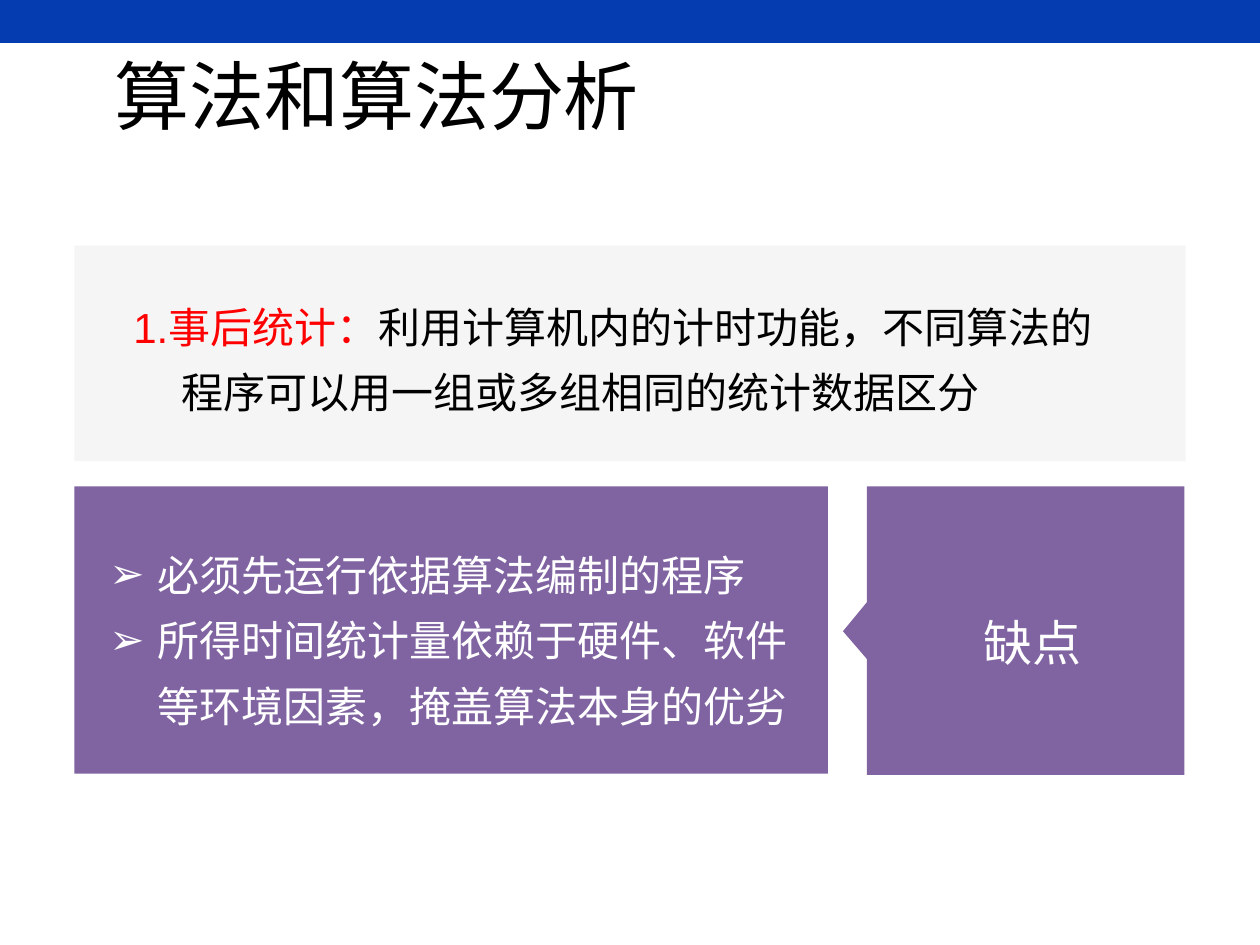
from dataclasses import dataclass

from lxml.etree import SubElement
from pptx import Presentation
from pptx.dml.color import RGBColor
from pptx.enum.shapes import MSO_SHAPE
from pptx.enum.text import MSO_ANCHOR
from pptx.oxml.ns import qn
from pptx.util import Pt

SCALE = 9144
CJK_FONT = "Noto Sans CJK SC"
COLORS = {
    "bar": "053CAF",
    "panel": "F5F5F5",
    "purple": "8064A2",
    "red": "FF0000",
    "black": "000000",
    "white": "FFFFFF",
}


@dataclass(frozen=True)
class Panel:
    """A filled rectangle, in px."""
    left: int
    top: int
    width: int
    height: int
    color: str


@dataclass(frozen=True)
class Label:
    """A text box whose paragraphs are lists of (text, color) spans."""
    left: int
    top: int
    width: int
    height: int
    paragraphs: list[list[tuple[str, str]]]
    size: float
    font: str = "Arial"
    spacing: float = 1.3
    indent: int = 38
    bullet: str = ""
    anchor: MSO_ANCHOR = MSO_ANCHOR.TOP


PANELS = [
    Panel(0, 0, 1000, 34, "bar"),
    Panel(59, 195, 882, 171, "panel"),
    Panel(59, 386, 598, 228, "purple"),
]
CALLOUT = [(688, 386), (940, 386), (940, 615), (688, 615),
           (688, 523), (669, 501), (688, 478)]
LABELS = [
    Label(81, 42, 859, 75, [[("算法和算法分析", "black")]], 42.9,
          font=CJK_FONT, spacing=0.9, indent=0, anchor=MSO_ANCHOR.MIDDLE),
    Label(96, 222, 809, 115, [[
        ("1.事后统计：", "red"),
        ("利用计算机内的计时功能，不同算法的程序可以用一组或多组相同的统计数据区分", "black"),
    ]], 24),
    Label(771, 467, 106, 65, [[("缺点", "white")]], 28),
    Label(77, 419, 562, 168, [
        [("必须先运行依据算法编制的程序", "white")],
        [("所得时间统计量依赖于硬件、软件等环境因素，掩盖算法本身的优劣", "white")],
    ], 24, bullet="➢"),
]


def px(length: int) -> int:
    """Turn px into EMU."""
    return length * SCALE


def paint(shape, color: str) -> None:
    """Give a shape a plain fill without line or shadow."""
    shape.shadow.inherit = False
    shape.fill.solid()
    shape.fill.fore_color.rgb = RGBColor.from_string(COLORS[color])
    shape.line.fill.background()


def draw_panel(page, panel: Panel) -> None:
    """Draw a filled rectangle."""
    shape = page.shapes.add_shape(
        MSO_SHAPE.RECTANGLE, px(panel.left), px(panel.top), px(panel.width), px(panel.height))
    paint(shape, panel.color)


def draw_callout(page, points: list[tuple[int, int]], color: str) -> None:
    """Draw a closed outline through the points."""
    builder = page.shapes.build_freeform(*points[0], scale=SCALE)
    builder.add_line_segments(points[1:], close=True)
    paint(builder.convert_to_shape(), color)


def set_indent(para, indent: int, bullet: str) -> None:
    """Hang the first line and add a bullet if there is one."""
    properties = para._p.get_or_add_pPr()
    properties.set("marL", str(px(indent)))
    properties.set("indent", str(-px(indent)))
    if bullet:
        SubElement(properties, qn("a:buFont")).set("typeface", "Arial")
        SubElement(properties, qn("a:buChar")).set("char", bullet)


def draw_label(page, label: Label) -> None:
    """Draw a text box with its formatted spans."""
    box = page.shapes.add_textbox(
        px(label.left), px(label.top), px(label.width), px(label.height))
    frame = box.text_frame
    frame.word_wrap = True
    frame.vertical_anchor = label.anchor
    frame.text = "\n".join("".join(text for text, _ in spans) for spans in label.paragraphs)
    for para, spans in zip(frame.paragraphs, label.paragraphs):
        para.line_spacing = label.spacing
        set_indent(para, label.indent, label.bullet)
        para.runs[0].text = spans[0][0]
        for text, _ in spans[1:]:
            para.add_run().text = text
        for span, (_, color) in zip(para.runs, spans):
            span.font.size = Pt(label.size)
            span.font.color.rgb = RGBColor.from_string(COLORS[color])
            span.font.name = label.font
            SubElement(span.font._element, qn("a:ea")).set("typeface", CJK_FONT)


def main() -> None:
    """Build the slide and save it."""
    deck = Presentation()
    deck.slide_width, deck.slide_height = px(1000), px(750)
    page = deck.slides.add_slide(deck.slide_layouts[6])
    for panel in PANELS:
        draw_panel(page, panel)
    draw_callout(page, CALLOUT, "purple")
    for label in LABELS:
        draw_label(page, label)
    deck.save("out.pptx")


if __name__ == "__main__":
    main()
